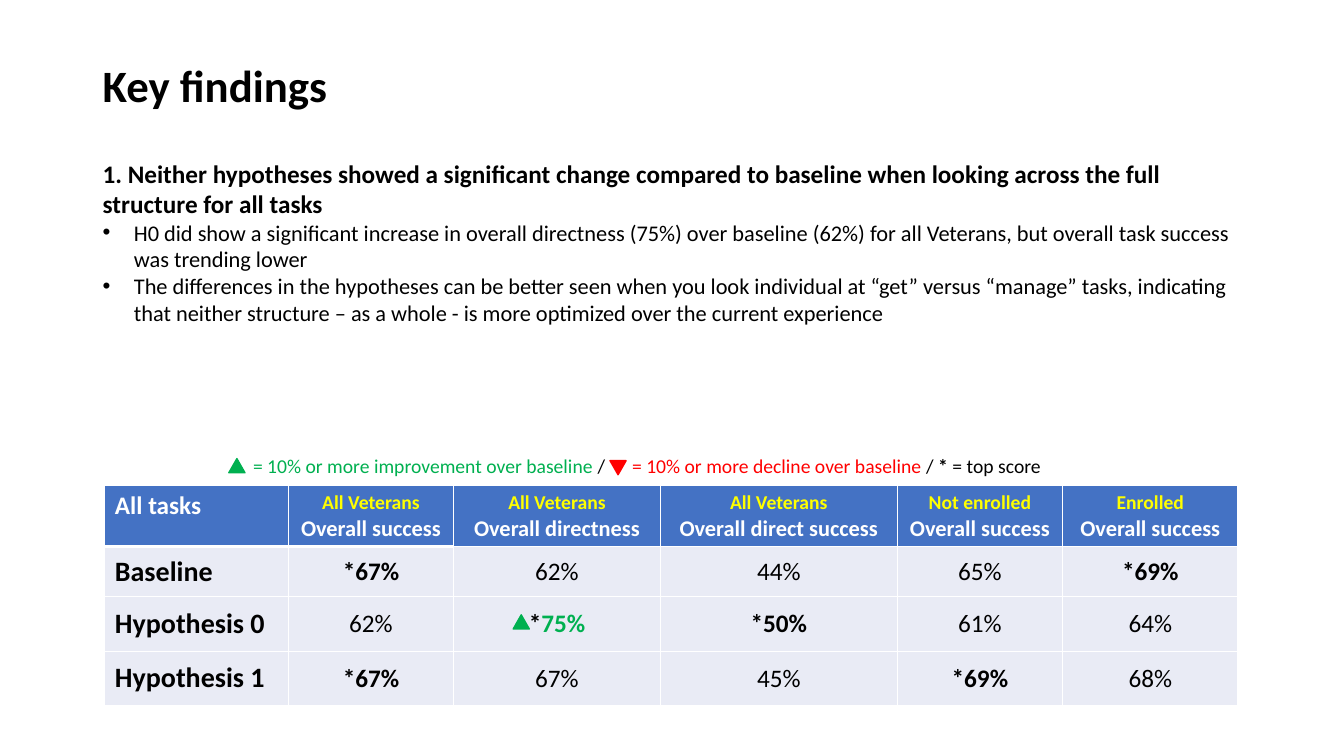
from dataclasses import dataclass, field
from typing import Any

from lxml import etree
from pptx import Presentation, util as u
from pptx.dml.color import RGBColor
from pptx.enum import shapes, text
from pptx.oxml import ns

In, Pt = u.Inches, u.Pt
LEFT, CENTER = text.PP_ALIGN.LEFT, text.PP_ALIGN.CENTER
MIDDLE, TOP = text.MSO_ANCHOR.MIDDLE, text.MSO_ANCHOR.TOP


@dataclass(frozen=True)
class Theme:
    font: str = "Calibri"
    black: str = "000000"
    white: str = "FFFFFF"
    green: str = "00B050"
    red: str = "FF0000"
    yellow: str = "FFFF00"
    header: str = "4472C4"
    body: str = "E9EBF5"
    title: int = 32
    row_label: int = 20
    heading: int = 18
    bullet: int = 16
    small: int = 14


T = Theme()


@dataclass
class Run:
    text: str
    size: int
    color: str = T.black
    bold: bool = False


@dataclass
class Para:
    runs: list[Run]
    fmt: dict[str, Any] = field(default_factory=dict)
    bullet: bool = False
    tab: float = 0


@dataclass
class Box:
    at: tuple[float, float, float, float]
    paras: list[Para]
    fmt: dict[str, Any] = field(default_factory=dict)


@dataclass
class Marker:
    left: float
    top: float
    color: str
    rotation: int = 0


def set_all(target: Any, fmt: dict[str, Any]) -> None:
    for name, value in fmt.items():
        setattr(target, name, value)


def add(parent: Any, tag: str, **attrs: str) -> Any:
    return etree.SubElement(parent, ns.qn(tag), attrs)


def write(tf: Any, paras: list[Para]) -> None:
    for i, para in enumerate(paras):
        p = tf.add_paragraph() if i else tf.paragraphs[0]
        pPr = p._p.get_or_add_pPr()
        if para.bullet:
            pPr.set("marL", str(In(0.31)))
            pPr.set("indent", str(In(-0.31)))
            add(pPr, "a:buFont", typeface="Arial")
            add(pPr, "a:buChar", char="•")
        if para.tab:
            add(add(pPr, "a:tabLst"), "a:tab", pos=str(In(para.tab)), algn="l")
        set_all(p, para.fmt)
        for run in para.runs:
            r = p.add_run()
            r.text = run.text
            set_all(r.font, {"name": T.font, "size": Pt(run.size), "bold": run.bold})
            r.font.color.rgb = RGBColor.from_string(run.color)


def draw_box(s: Any, box: Box) -> None:
    tf = s.shapes.add_textbox(*map(In, box.at)).text_frame
    set_all(tf, {"word_wrap": True, **box.fmt})
    write(tf, box.paras)


def draw_marker(s: Any, marker: Marker) -> None:
    sp = s.shapes.add_shape(shapes.MSO_SHAPE.ISOSCELES_TRIANGLE,
                            In(marker.left), In(marker.top), In(0.16), In(0.14))
    sp.rotation = marker.rotation
    sp.shadow.inherit = False
    sp.fill.solid()
    sp.fill.fore_color.rgb = sp.line.color.rgb = RGBColor.from_string(marker.color)
    sp.line.width = Pt(1)


def style_cell(cell: Any, row: int, col: int) -> None:
    tcPr = cell._tc.get_or_add_tcPr()
    for edge in "LRTB":
        # The rule under the first two headers is heavier
        thick = col < 2 and (row, edge) in ((0, "B"), (1, "T"))
        ln = add(tcPr, f"a:ln{edge}", w=str(Pt(3 if thick else 1)))
        add(add(ln, "a:solidFill"), "a:srgbClr", val=T.white)
    cell.fill.solid()
    cell.fill.fore_color.rgb = RGBColor.from_string(T.body if row else T.header)
    cell.vertical_anchor = MIDDLE if row else TOP


def cell_paras(value: str, row: int, col: int) -> list[Para]:
    if row == 0 and col == 0:
        return [Para([Run(value, T.heading, T.white, True)])]
    if row == 0:
        group, measure = value.split("|")
        return [Para([Run(group, T.small, T.yellow, True)], {"alignment": CENTER}),
                Para([Run(measure, T.bullet, T.white, True)], {"alignment": CENTER})]
    if col == 0:
        return [Para([Run(value, T.row_label, bold=True)])]
    runs = [Run(value, T.heading, bold=value.startswith("*"))]
    if (row, col) == IMPROVED:
        runs = [Run("*", T.heading, bold=True),
                Run(value[1:], T.heading, T.green, True)]
    return [Para(runs, {"alignment": CENTER})]


BOXES = [
    # Legend; the tab leaves room for the red marker
    Box((1.45, 4.48, 9.93, 0.34), [Para([
        Run("= 10% or more improvement over baseline", T.small, T.green),
        Run(" /\t", T.small),
        Run("= 10% or more decline over baseline ", T.small, T.red),
        Run("/ ", T.small),
        Run("*", T.small, bold=True),
        Run(" = top score", T.small),
    ], {"alignment": LEFT, "line_spacing": 0.9}, tab=3.76)],
        {"margin_left": In(1.06)}),
    # Title
    Box((0.92, 0.4, 11.5, 0.94),
        [Para([Run("Key findings", T.title, bold=True)], {"line_spacing": 0.9})],
        {"vertical_anchor": MIDDLE}),
    # Finding and its details
    Box((0.92, 1.52, 11.5, 1.78), [
        Para([Run("1. Neither hypotheses showed a significant change compared to baseline "
                  "when looking across the full structure for all tasks",
                  T.heading, bold=True)]),
        Para([Run("H0 did show a significant increase in overall directness (75%) over "
                  "baseline (62%) for all Veterans, but overall task success was trending "
                  "lower", T.bullet)], bullet=True),
        Para([Run("The differences in the hypotheses can be better seen when you look "
                  "individual at “get” versus “manage” tasks, indicating that neither "
                  "structure – as a whole - is more optimized over the current experience",
                  T.bullet)], bullet=True),
    ]),
]

COLS = [1.82, 1.64, 2.05, 2.35, 1.64, 1.74]
ROWS = [0.49, 0.5, 0.54, 0.54]
IMPROVED = (2, 2)
SCORES = [
    ["All tasks", "All Veterans|Overall success", "All Veterans|Overall directness",
     "All Veterans|Overall direct success", "Not enrolled|Overall success",
     "Enrolled|Overall success"],
    ["Baseline", "*67%", "62%", "44%", "65%", "*69%"],
    ["Hypothesis 0", "62%", "*75%", "*50%", "61%", "64%"],
    ["Hypothesis 1", "*67%", "67%", "45%", "*69%", "68%"],
]
MARKERS = [Marker(2.27, 4.55, T.green), Marker(6.05, 4.57, T.red, 180),
           Marker(5.09, 6.1, T.green)]


def draw_scores(s: Any) -> None:
    table = s.shapes.add_table(len(ROWS), len(COLS), In(1.04), In(4.82),
                               In(sum(COLS)), In(sum(ROWS))).table
    set_all(table, {"first_row": False, "horz_banding": False})
    for column, width in zip(table.columns, COLS):
        column.width = In(width)
    for r, (height, values) in enumerate(zip(ROWS, SCORES)):
        table.rows[r].height = In(height)
        for c, value in enumerate(values):
            cell = table.cell(r, c)
            style_cell(cell, r, c)
            write(cell.text_frame, cell_paras(value, r, c))


def main() -> None:
    prs = Presentation()
    set_all(prs, {"slide_width": In(13.33), "slide_height": In(7.5)})
    s = prs.slides.add_slide(prs.slide_layouts[6])
    for box in BOXES:
        draw_box(s, box)
    draw_scores(s)
    for marker in MARKERS:
        draw_marker(s, marker)
    prs.save("out.pptx")


if __name__ == "__main__":
    main()
